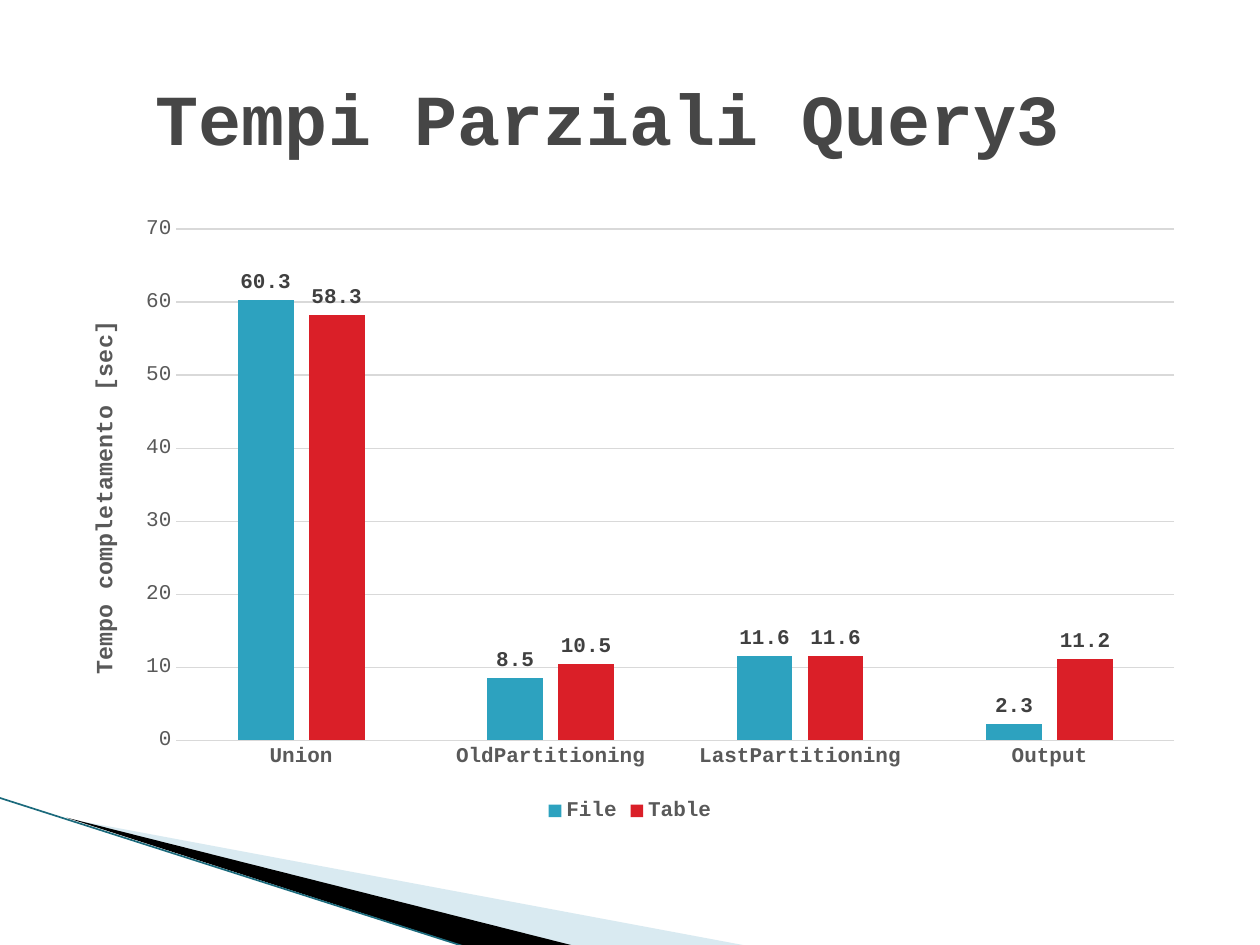
import pptx
import pptx.util
import pptx.chart.data
import pptx.dml.color
import pptx.enum.chart
import pptx.enum.shapes
import pptx.enum.text
import pptx.oxml
import pptx.oxml.ns

Inches, Pt = pptx.util.Inches, pptx.util.Pt
ENUM = pptx.enum.chart
qn = pptx.oxml.ns.qn

# Content
TITLE = "Tempi Parziali Query3 "
AXIS = "Tempo completamento [sec]"
CATS = ["Union", "OldPartitioning", "LastPartitioning", "Output"]
DATA = [("File", "teal", (60.3, 8.5, 11.6, 2.3)),
        ("Table", "red", (58.3, 10.5, 11.6, 11.2))]
FACE = "Courier New"
HEX = {"teal": "2DA2BF", "red": "DA1F28", "title": "464646", "text": "595959",
       "label": "404040", "grid": "D9D9D9", "pale": "A0CBDC",
       "black": "000000", "edge": "1B6A7C"}
WEDGES = [("pale", 40, [(0.55, 6.5), (5.95, 7.51), (4.56, 7.51)]),
          ("black", 100, [(0.53, 6.49), (4.57, 7.51), (3.72, 7.52)])]
EDGE = [(-0.01, 6.33), (3.71, 7.52)]
PLOT = {"x": 0.1, "y": 0.04, "w": 0.88, "h": 0.82}
NAME = {"x": 0.02, "y": 0.18}


def rgb(key):
    return pptx.dml.color.RGBColor.from_string(HEX[key])


def style(font, size, key, bold=False):
    for attr, val in {"name": FACE, "size": Pt(size), "bold": bold}.items():
        setattr(font, attr, val)
    font.color.rgb = rgb(key)


def rule(line, key, width):
    line.color.rgb = rgb(key)
    line.width = Pt(width)


def layout(spot, inner=False):
    """Build a c:layout element from fractions of the chart."""
    return pptx.oxml.parse_xml(
        '<c:layout xmlns:c="http://schemas.openxmlformats.org/drawingml/2006/chart">'
        '<c:manualLayout>'
        + ('<c:layoutTarget val="inner"/>' if inner else '')
        + ''.join(f'<c:{k}Mode val="edge"/>' for k in "xy")
        + ''.join(f'<c:{k} val="{v}"/>' for k, v in spot.items())
        + '</c:manualLayout></c:layout>')


def place(node, spot, index, inner=False):
    for old in node.findall(qn("c:layout")):
        node.remove(old)
    node.insert(index, layout(spot, inner))


prs = pptx.Presentation()
prs.slide_width, prs.slide_height = Inches(10), Inches(7.5)
slide = prs.slides.add_slide(prs.slide_layouts[6])
shapes = slide.shapes

# Corner wedges
for key, alpha, pts in WEDGES:
    pts = [(Inches(x), Inches(y)) for x, y in pts]
    pen = shapes.build_freeform(*pts[0])
    pen.add_line_segments(pts[1:], close=True)
    wedge = pen.convert_to_shape()
    wedge.shadow.inherit = False
    wedge.fill.solid()
    wedge.fill.fore_color.rgb = rgb(key)
    wedge.line.fill.background()
    if alpha < 100:
        tint = wedge._element.spPr.find(qn("a:solidFill"))[0]
        tint.append(tint.makeelement(qn("a:alpha"), {"val": str(alpha * 1000)}))

# Corner edge line
ends = [Inches(n) for pt in EDGE for n in pt]
edge = shapes.add_connector(pptx.enum.shapes.MSO_CONNECTOR.STRAIGHT, *ends)
rule(edge.line, "edge", 0.95)
prop = edge._element.spPr
prop.append(prop.makeelement(qn("a:effectLst"), {}))

# Chart
data = pptx.chart.data.CategoryChartData()
data.categories = CATS
for name, key, vals in DATA:
    data.add_series(name, vals)
chart = shapes.add_chart(ENUM.XL_CHART_TYPE.COLUMN_CLUSTERED, Inches(0.5),
                         Inches(1.62), Inches(9), Inches(4.95), data).chart
style(chart.font, 10, "black")
chart.has_title = False
chart.has_legend = True
chart.legend.position = ENUM.XL_LEGEND_POSITION.BOTTOM
chart.legend.include_in_layout = False
style(chart.legend.font, 12, "text", True)

# Bars and labels
plot = chart.plots[0]
for attr, val in {"gap_width": 219, "overlap": -27,
                  "vary_by_categories": False}.items():
    setattr(plot, attr, val)
for bars, (name, key, vals) in zip(plot.series, DATA):
    bars.format.fill.solid()
    bars.format.fill.fore_color.rgb = rgb(key)
    tags = bars.data_labels
    tags.show_value = True
    tags.position = ENUM.XL_LABEL_POSITION.OUTSIDE_END
    style(tags.font, 12, "label", True)

# Axes
cat, val = chart.category_axis, chart.value_axis
for axis, bold in ((cat, True), (val, False)):
    axis.major_tick_mark = axis.minor_tick_mark = ENUM.XL_TICK_MARK.NONE
    style(axis.tick_labels.font, 12, "text", bold)
rule(cat.format.line, "grid", 0.75)
val.format.line.fill.background()
rule(val.major_gridlines.format.line, "grid", 0.75)
for attr, num in {"minimum_scale": 0, "maximum_scale": 70,
                  "major_unit": 10}.items():
    setattr(val, attr, num)
val.axis_title.text_frame.text = AXIS
style(val.axis_title.text_frame.paragraphs[0].runs[0].font, 13.3, "text", True)
place(val.axis_title._element, NAME, 1)
place(chart._chartSpace.chart.plotArea, PLOT, 0, True)

# Title
box = shapes.add_textbox(Inches(0.5), Inches(0.3), Inches(9), Inches(1.25))
frame = box.text_frame
frame.word_wrap = True
frame.vertical_anchor = pptx.enum.text.MSO_ANCHOR.MIDDLE
para = frame.paragraphs[0]
para.alignment = pptx.enum.text.PP_ALIGN.CENTER
run = para.add_run()
run.text = TITLE
style(run.font, 41, "title", True)

prs.save("out.pptx")
